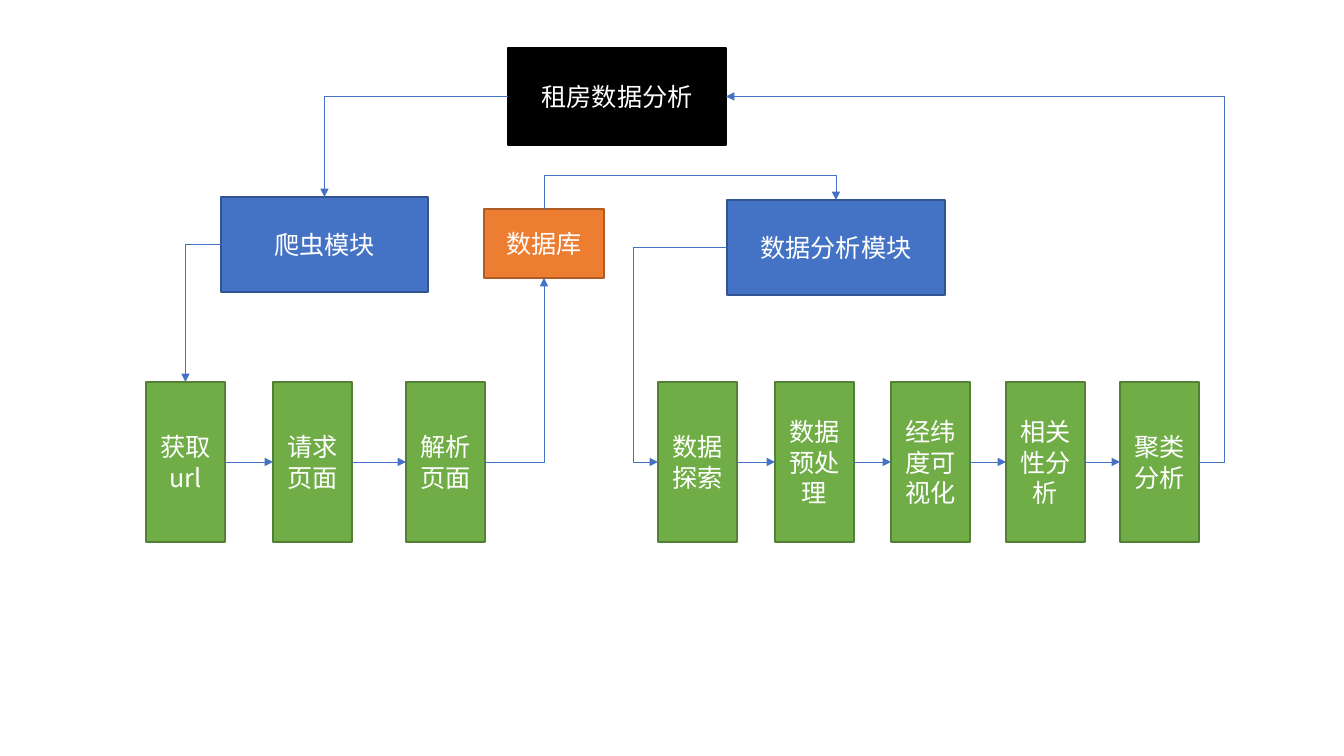
from lxml import etree
from pptx import Presentation
from pptx.dml.color import RGBColor
from pptx.enum.shapes import MSO_CONNECTOR, MSO_SHAPE
from pptx.enum.text import MSO_ANCHOR, PP_ALIGN
from pptx.oxml.ns import qn
from pptx.util import Emu, Pt

RECTANGLE = MSO_SHAPE.RECTANGLE
STRAIGHT, ELBOW = MSO_CONNECTOR.STRAIGHT, MSO_CONNECTOR.ELBOW
MIDDLE, CENTER = MSO_ANCHOR.MIDDLE, PP_ALIGN.CENTER
TOP, LEFT, BOTTOM, RIGHT = range(4)

FONT = "Noto Sans CJK SC"
WHITE = RGBColor(0xFF, 0xFF, 0xFF)
BLACK = RGBColor(0x00, 0x00, 0x00)
BLUE = RGBColor(0x44, 0x72, 0xC4)
DARK_BLUE = RGBColor(0x32, 0x54, 0x91)
ORANGE = RGBColor(0xED, 0x7D, 0x31)
DARK_ORANGE = RGBColor(0xAF, 0x5C, 0x24)
GREEN = RGBColor(0x70, 0xAD, 0x47)
DARK_GREEN = RGBColor(0x53, 0x80, 0x35)

# Content: text, left, top, width, height in px, fill, outline
MODULES = [
    ("租房数据分析", 508, 48, 218, 97, BLACK, BLACK),
    ("爬虫模块", 221, 197, 207, 95, BLUE, DARK_BLUE),
    ("数据分析模块", 727, 200, 218, 95, BLUE, DARK_BLUE),
    ("数据库", 484, 209, 120, 69, ORANGE, DARK_ORANGE),
]
# Each row of steps: text, left
CRAWL_STEPS = [("获取url", 146), ("请求页面", 273), ("解析页面", 406)]
ANALYSIS_STEPS = [("数据探索", 658), ("数据预处理", 775), ("经纬度可视化", 891),
                  ("相关性分析", 1006), ("聚类分析", 1120)]
STEP_TOP, STEP_WIDTH, STEP_HEIGHT = 382, 79, 160

# Elbow arrows: from, side, to, side, px position of the middle leg (None: one corner)
ELBOWS = [
    ("租房数据分析", LEFT, "爬虫模块", TOP, None),
    ("爬虫模块", LEFT, "获取url", TOP, None),
    ("解析页面", RIGHT, "数据库", BOTTOM, None),
    ("数据库", TOP, "数据分析模块", TOP, 175),
    ("数据分析模块", LEFT, "数据探索", LEFT, 633),
    ("聚类分析", RIGHT, "租房数据分析", RIGHT, 1224),
]


def px(length):
    return Emu(round(length * 914400 / 100.8))


def add_box(page, text, left, top, width, height, fill, outline):
    box = page.shapes.add_shape(RECTANGLE, px(left), px(top), px(width), px(height))
    box.shadow.inherit = False
    box.fill.solid()
    box.fill.fore_color.rgb = fill
    box.line.color.rgb = outline
    box.line.width = Pt(1)
    box.text_frame.word_wrap = True
    box.text_frame.vertical_anchor = MIDDLE
    para = box.text_frame.paragraphs[0]
    para.alignment = CENTER
    span = para.add_run()
    span.text = text
    span.font.size = Pt(18)
    span.font.name = FONT
    span.font.color.rgb = WHITE
    etree.SubElement(span.font._element, qn("a:ea"), typeface=FONT)
    return box


def add_arrow(page, kind, start, start_side, end, end_side):
    arrow = page.shapes.add_connector(kind, 0, 0, 0, 0)
    arrow.begin_connect(start, start_side)
    arrow.end_connect(end, end_side)
    arrow.line.color.rgb = BLUE
    arrow.line.width = Pt(0.5)
    etree.SubElement(arrow.line._get_or_add_ln(), qn("a:tailEnd"), type="triangle")
    etree.SubElement(arrow._element.spPr, qn("a:effectLst"))
    return arrow


def bend_arrow(arrow, start_side, bend):
    geometry = arrow._element.spPr.find(qn("a:prstGeom"))
    if bend is None:
        geometry.set("prst", "bentConnector2")
        return
    first, last = arrow.begin_x, arrow.end_x
    if start_side == TOP:
        # A route that leaves upwards is a sideways route turned by 90 degrees
        first, last = arrow.begin_y, arrow.end_y
        width, height = arrow.width, arrow.height
        arrow.left += (width - height) // 2
        arrow.top += (height - width) // 2
        arrow.width, arrow.height = height, width
        frame = arrow._element.spPr.find(qn("a:xfrm"))
        for name, value in (("rot", "5400000"), ("flipH", "1"), ("flipV", "1")):
            frame.set(name, value)
    share = round((px(bend) - first) / (last - first) * 100000)
    guides = geometry.find(qn("a:avLst"))
    if guides is None:
        guides = etree.SubElement(geometry, qn("a:avLst"))
    etree.SubElement(guides, qn("a:gd"), name="adj1", fmla=f"val {share}")


def main():
    deck = Presentation()
    deck.slide_width, deck.slide_height = px(1344), px(756)
    page = deck.slides.add_slide(deck.slide_layouts[6])

    # Boxes
    boxes = {module[0]: add_box(page, *module) for module in MODULES}
    for text, left in CRAWL_STEPS + ANALYSIS_STEPS:
        boxes[text] = add_box(page, text, left, STEP_TOP, STEP_WIDTH, STEP_HEIGHT,
                              GREEN, DARK_GREEN)

    # Straight arrows from step to step
    for steps in (CRAWL_STEPS, ANALYSIS_STEPS):
        for (start, _), (end, _) in zip(steps, steps[1:]):
            add_arrow(page, STRAIGHT, boxes[start], RIGHT, boxes[end], LEFT)

    # Elbow arrows between modules and steps
    for start, start_side, end, end_side, bend in ELBOWS:
        arrow = add_arrow(page, ELBOW, boxes[start], start_side, boxes[end], end_side)
        bend_arrow(arrow, start_side, bend)

    deck.save("out.pptx")


if __name__ == "__main__":
    main()
